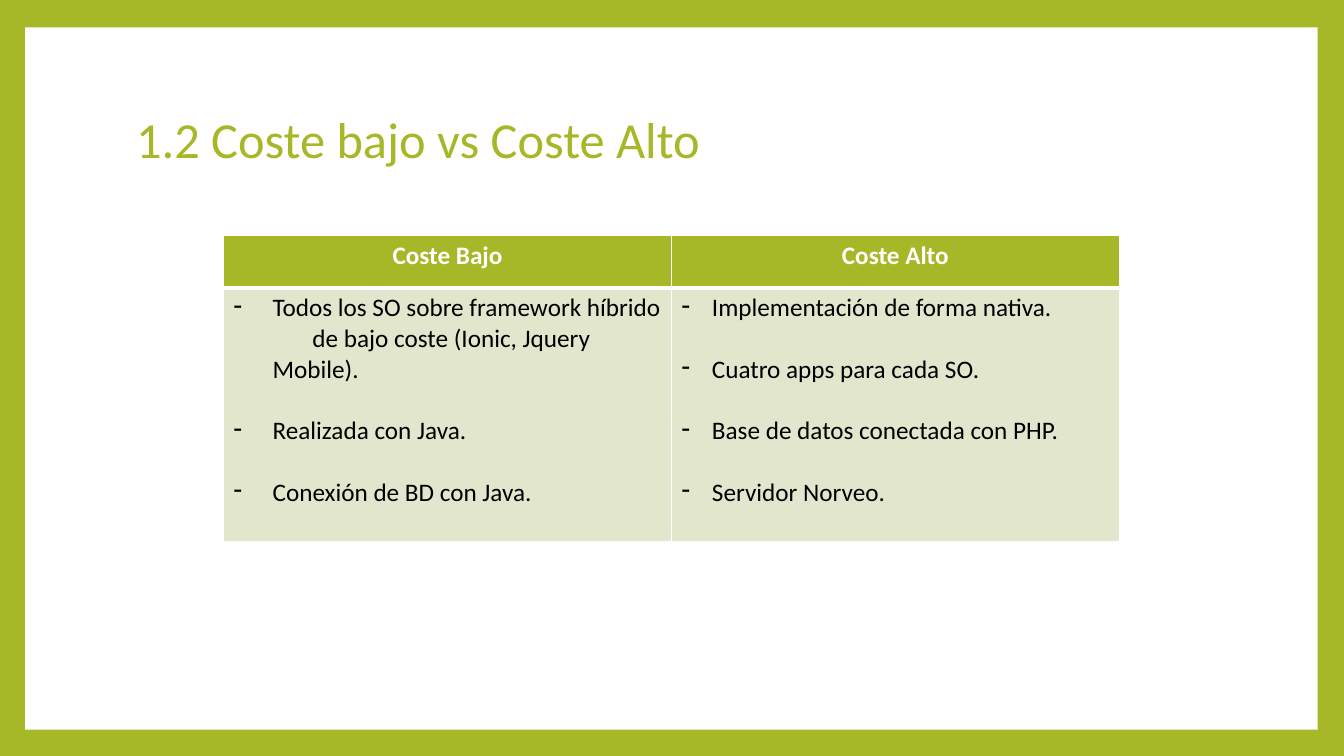
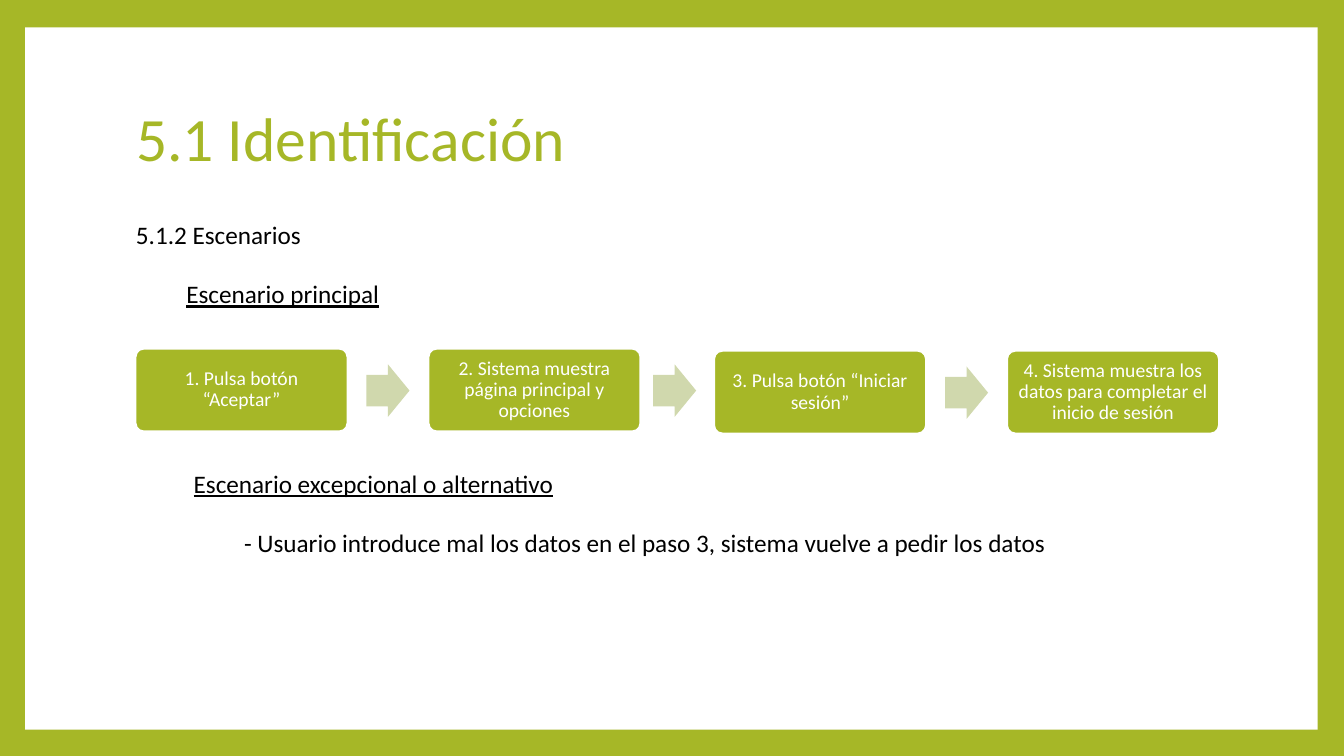
from lxml.etree import SubElement
from pptx import Presentation
from pptx.dml.color import RGBColor
from pptx.enum.shapes import MSO_SHAPE
from pptx.enum.text import MSO_ANCHOR, PP_ALIGN
from pptx.oxml.ns import qn
from pptx.util import Pt

PX = 9525  # EMU per px, 96 px to the inch
GREEN = RGBColor(0xA6, 0xB7, 0x27)
CELL = RGBColor(0xE1, 0xE6, 0xCD)
ARROW = RGBColor(0xD0, 0xD8, 0xAD)
WHITE = RGBColor(0xFF, 0xFF, 0xFF)
BLACK = RGBColor(0, 0, 0)
LINE_GAP = {"space_after": Pt(22)}
CENTER = {"alignment": PP_ALIGN.CENTER}


def px(*lengths):
    return [n * PX for n in lengths]


def set_attrs(obj, values):
    for name, value in values.items():
        setattr(obj, name, value)


class Deck:
    """Shared style and the slide being built."""

    def __init__(self):
        self.prs = Presentation()
        self.prs.slide_width, self.prs.slide_height = px(1280, 720)
        self.layout = self.prs.slide_layouts[5]
        self.slide = None
        # Green frame and title place, inherited by every slide
        fill = self.prs.slide_master.background.fill
        fill.solid()
        fill.fore_color.rgb = GREEN
        for ph in list(self.layout.placeholders):
            if ph.placeholder_format.idx:
                ph.element.getparent().remove(ph.element)
            else:
                ph.left, ph.top, ph.width, ph.height = px(120, 64, 1037, 142)

    def new_slide(self, title, size):
        first = self.slide is None
        self.slide = self.prs.slides.add_slide(self.layout)
        if first:
            panel = self.shape(MSO_SHAPE.RECTANGLE, (24, 26, 1231, 669), WHITE)
            self.layout.shapes.element.insert(2, panel.element)
        tf = self.slide.shapes.title.text_frame
        tf.vertical_anchor = MSO_ANCHOR.MIDDLE
        self.paragraphs(tf, [(title, {"alignment": PP_ALIGN.LEFT, "line_spacing": 0.9})],
                        size=size, color=GREEN)

    def paragraphs(self, tf, items, size=18, color=BLACK, bold=False):
        """Each item is a paragraph's text and a dict of formats."""
        for i, (text, fmt) in enumerate(items):
            p = tf.paragraphs[0] if i == 0 else tf.add_paragraph()
            fmt = dict(fmt)
            left, first = fmt.pop("indent", (0, 0))
            bullet = fmt.pop("bullet", None)
            underline = fmt.pop("underline", False)
            set_attrs(p, fmt)
            pPr = p._p.get_or_add_pPr()
            pPr.set("marL", str(left * PX))
            pPr.set("indent", str(first * PX))
            if bullet:
                SubElement(pPr, qn("a:buChar"), char=bullet)
            r = p.add_run()
            r.text = text
            set_attrs(r.font, {"name": "Calibri", "size": Pt(size),
                               "bold": bold, "underline": underline})
            r.font.color.rgb = color

    def shape(self, kind, box, fill, adjust=(), line=None):
        sp = self.slide.shapes.add_shape(kind, *px(*box))
        sp.shadow.inherit = False
        sp.fill.solid()
        sp.fill.fore_color.rgb = fill
        for i, value in enumerate(adjust):
            sp.adjustments[i] = value
        if line is None:
            sp.line.fill.background()
        else:
            sp.line.color.rgb = line
            sp.line.width = Pt(1.5)
        return sp

    def text(self, box, items):
        tf = self.slide.shapes.add_textbox(*px(*box)).text_frame
        tf.word_wrap = True
        self.paragraphs(tf, items)

    def card(self, x, y, text):
        sp = self.shape(MSO_SHAPE.ROUNDED_RECTANGLE, (x, y, 202, 79), GREEN, [0.1], WHITE)
        tf = sp.text_frame
        set_attrs(tf, {"word_wrap": True, "vertical_anchor": MSO_ANCHOR.MIDDLE})
        set_attrs(tf, dict.fromkeys(
            ("margin_left", "margin_top", "margin_right", "margin_bottom"), 8 * PX))
        self.paragraphs(tf, [(text, {**CENTER, "line_spacing": 0.9})], size=14, color=WHITE)

    def arrow(self, x, y):
        self.shape(MSO_SHAPE.RIGHT_ARROW, (x, y, 41, 50), ARROW, [0.6, 0.5])

    def table(self, box, heights, headers, bodies):
        tbl = self.slide.shapes.add_table(2, len(headers), *px(*box)).table
        tbl.horz_banding = False
        for row, height in zip(tbl.rows, heights):
            row.height = height * PX
        for c, (header, body) in enumerate(zip(headers, bodies)):
            head = self.cell(tbl.cell(0, c), GREEN, bottom=3)
            self.paragraphs(head, [(header, CENTER)], color=WHITE, bold=True)
            self.paragraphs(self.cell(tbl.cell(1, c), CELL, top=3), body)

    def cell(self, cell, fill, top=1, bottom=1):
        tcPr = cell._tc.get_or_add_tcPr()
        for side, width in (("L", 1), ("R", 1), ("T", top), ("B", bottom)):
            ln = SubElement(tcPr, qn("a:ln" + side), w=str(Pt(width)))
            solid = SubElement(ln, qn("a:solidFill"))
            SubElement(solid, qn("a:srgbClr"), val=str(WHITE))
        cell.fill.solid()
        cell.fill.fore_color.rgb = fill
        return cell.text_frame


def dashed(hang):
    return {"indent": (hang, -hang), "bullet": "-"}


def cost_slide(deck):
    deck.new_slide("1.2 Coste bajo vs Coste Alto", 36)
    low, high = dashed(37), dashed(29)
    deck.table((213, 224, 853, 292), (50, 242), ["Coste Bajo", "Coste Alto"], [
        [("Todos los SO sobre framework híbrido", low),
         ("de bajo coste (Ionic, Jquery Mobile).", {"indent": (37, 38), **LINE_GAP}),
         ("Realizada con Java.", {**low, **LINE_GAP}),
         ("Conexión de BD con Java.", low)],
        [("Implementación de forma nativa.", {**high, **LINE_GAP}),
         ("Cuatro apps para cada SO.", {**high, **LINE_GAP}),
         ("Base de datos conectada con PHP.", {**high, **LINE_GAP}),
         ("Servidor Norveo.", high)],
    ])


def scenario_slide(deck):
    deck.new_slide("5.1 Identificación", 44)
    gap = {"space_after": Pt(21)}
    deck.text((120, 204, 1091, 126), [
        ("5.1.2 Escenarios", gap),
        ("Escenario principal", {"indent": (48, 0), "underline": True}),
    ])
    # Main scenario: two pairs of steps, joined by arrows
    pairs = [
        (129, 332, "1. Pulsa botón “Aceptar”",
         "2. Sistema muestra página principal y opciones"),
        (680, 334, "3. Pulsa botón “Iniciar sesión”",
         "4. Sistema muestra los datos para completar el inicio de sesión"),
    ]
    for x, y, before, after in pairs:
        deck.card(x, y, before)
        deck.arrow(x + 220, y + 15)
        deck.card(x + 279, y, after)
    deck.arrow(622, 347)
    # Alternative scenario
    deck.text((175, 441, 850, 97), [
        ("Escenario excepcional o alternativo", {**gap, "underline": True}),
        ("- Usuario introduce mal los datos en el paso 3, sistema vuelve a pedir los datos",
         {"indent": (48, 0)}),
    ])


def main():
    deck = Deck()
    cost_slide(deck)
    scenario_slide(deck)
    deck.prs.save("out.pptx")


if __name__ == "__main__":
    main()
